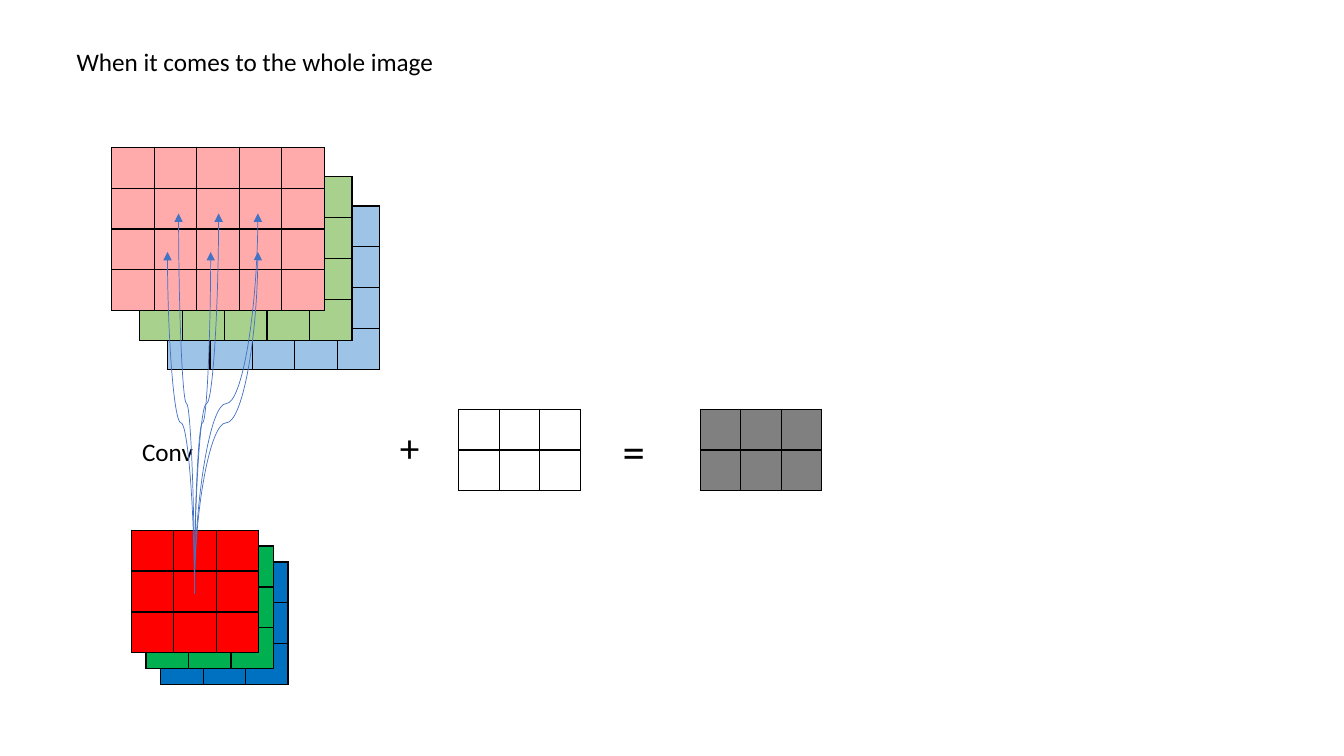
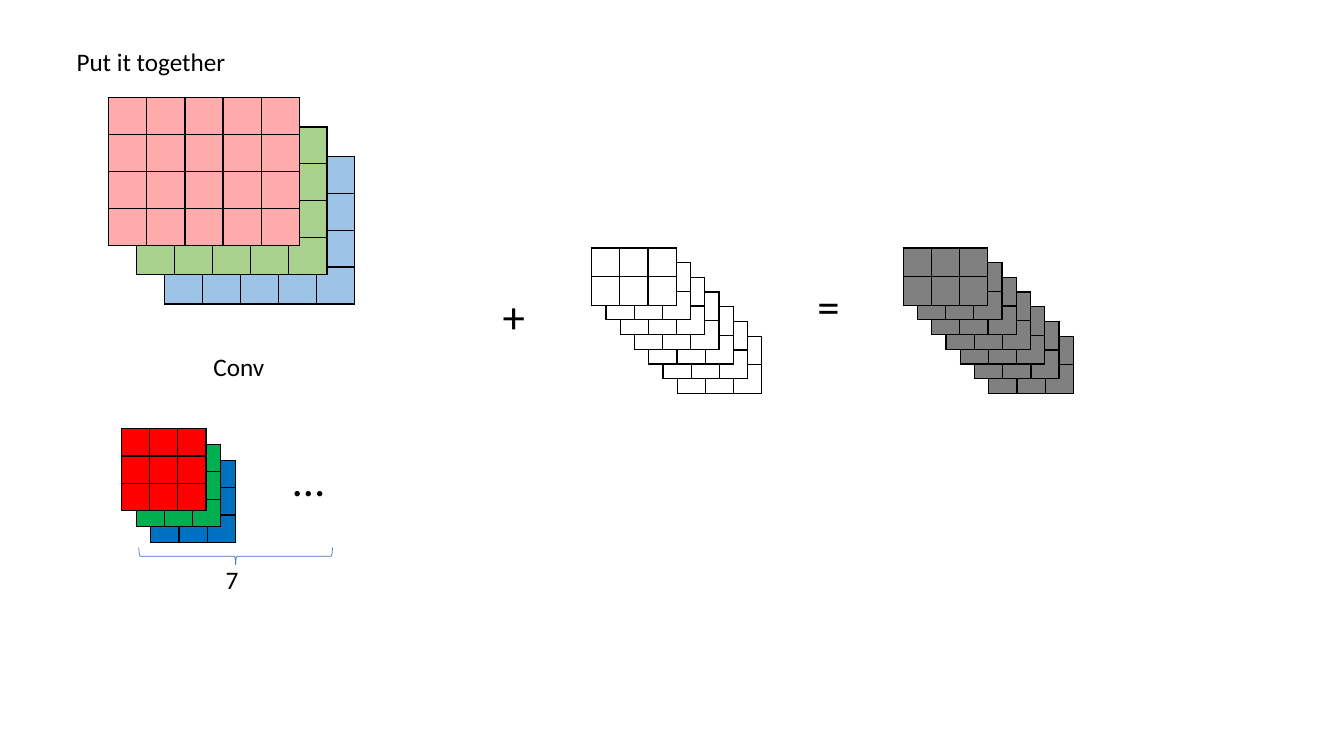
from lxml.etree import SubElement
from pptx import Presentation
from pptx.dml.color import RGBColor
from pptx.enum.shapes import MSO_CONNECTOR, MSO_SHAPE
from pptx.oxml.ns import qn
from pptx.util import Cm, Pt

HUES = {
    "ink": "000000", "edge": "4472C4", "white": "FFFFFF", "gray": "808080",
    "pink": "FFABAB", "lime": "A9D18E", "sky": "9DC3E6",
    "red": "FF0000", "green": "00B050", "blue": "0070C0",
}
IMAGE = ("pink", "lime", "sky")
KERNEL = ("red", "green", "blue")
COUNT = 7
FONT = {"name": "Calibri"}
PLAIN = {"first_row": False, "horz_banding": False}
SNUG = {f"margin_{side}": 0 for side in ("left", "right", "top", "bottom")}


def style(item, form):
    """Set each attribute of an object from a dict of format values."""
    for name, value in form.items():
        setattr(item, name, value)


def hue(name):
    """Return a named colour."""
    return RGBColor.from_string(HUES[name])


def stroke(line):
    """Give a line the thin accent look."""
    line.color.rgb = hue("edge")
    line.width = Pt(0.5)


def label(slide, text, x, y, w=2.34, size=18):
    """Place one line of text in a box."""
    box = slide.shapes.add_textbox(Cm(x), Cm(y), Cm(w), Cm(size * 0.05 + 0.12))
    box.text_frame.word_wrap = True
    run = box.text_frame.paragraphs[0].add_run()
    run.text = text
    style(run.font, FONT | {"size": Pt(size)})
    run.font.color.rgb = hue("ink")


def paint(cell, name):
    """Fill a blank cell and draw its four borders."""
    style(cell, SNUG)
    end = SubElement(cell.text_frame.paragraphs[0]._p, qn("a:endParaRPr"))
    end.set("sz", "100")
    props = cell._tc.get_or_add_tcPr()
    for side in "LRTB":
        edge = SubElement(props, qn(f"a:ln{side}"), w=str(Pt(1)))
        fill = SubElement(edge, qn("a:solidFill"))
        SubElement(fill, qn("a:srgbClr"), val=HUES["ink"])
    cell.fill.solid()
    cell.fill.fore_color.rgb = hue(name)


def grid(slide, x, y, size, unit, name):
    """Draw a table of equal cells in one colour."""
    (cols, rows), (w, h) = size, unit
    table = slide.shapes.add_table(
        rows, cols, Cm(x), Cm(y), Cm(cols * w), Cm(rows * h)).table
    style(table, PLAIN)
    for col in table.columns:
        col.width = Cm(w)
    for row in table.rows:
        row.height = Cm(h)
    for cell in table.iter_cells():
        paint(cell, name)


def stack(slide, x, y, size, unit, names, step=(0, 0)):
    """Draw layered grids from the back one to the front one at x, y."""
    for i, name in reversed(list(enumerate(names))):
        grid(slide, x + i * step[0], y + i * step[1], size, unit, name)


def arrow(slide, start, end):
    """Draw an upward curve that leaves and arrives upright."""
    (x1, y1), (x2, y2) = start, end
    rise, run = y1 - y2, abs(x2 - x1)
    left, top = (x1 + x2 - rise) / 2, (y1 + y2 - run) / 2
    right, low = left + rise, top + run
    ends, turn = ((right, low, left, top), 90)
    if x2 < x1:
        ends, turn = ((left, low, right, top), 270)
    link = slide.shapes.add_connector(MSO_CONNECTOR.CURVE, *map(Cm, ends))
    link.rotation = turn
    stroke(link.line)
    props = link._element.spPr
    SubElement(props.find(qn("a:ln")), qn("a:tailEnd"), type="triangle")
    SubElement(props, qn("a:effectLst"))


def fan(slide, x, y):
    """Link the kernel centre to six cells of the image at x, y."""
    for dy, row in ((1.67, (1.68, 2.69, 3.68)), (2.64, (1.4, 2.49, 3.68))):
        for dx in row:
            arrow(slide, (x + 2.08, y + 11.25), (x + dx, y + dy))


def brace(slide, x, y, w, h):
    """Draw a brace that opens upward, with the kernel count below."""
    mark = slide.shapes.add_shape(
        MSO_SHAPE.LEFT_BRACE,
        Cm(x + (w - h) / 2), Cm(y + (h - w) / 2), Cm(h), Cm(w))
    style(mark, {"rotation": 270})
    mark.shadow.inherit = False
    mark.fill.background()
    stroke(mark.line)
    label(slide, str(COUNT), x + 1.94, y + 0.3, 0.71)


def page(deck, title):
    """Add a blank slide with its title line."""
    slide = deck.slides.add_slide(deck.slide_layouts[6])
    label(slide, title, 1.68, 1.04, 24.74)
    return slide


def whole(deck):
    """Build the slide with one kernel over the whole image."""
    slide = page(deck, "When it comes to the whole image")
    unit, flat = (1.07, 1.03), (1.02, 1.03)
    stack(slide, 2.82, 3.71, (5, 4), unit, IMAGE, (0.7, 0.74))
    stack(slide, 3.31, 13.36, (3, 3), unit, KERNEL, (0.37, 0.4))
    label(slide, "Conv", 3.33, 10.87)
    fan(slide, 2.82, 3.71)
    label(slide, "+", 9.83, 10.54, 1.14, 28)
    label(slide, "=", 15.44, 10.54, 3.66, 32)
    for x, name in ((11.56, "white"), (17.65, "gray")):
        stack(slide, x, 10.31, (3, 2), flat, [name])


def joint(deck):
    """Build the slide with all kernels put together."""
    slide = page(deck, "Put it together")
    stack(slide, 2.74, 2.46, (5, 4), (0.96, 0.93), IMAGE, (0.7, 0.74))
    stack(slide, 3.06, 10.8, (3, 3), (0.71, 0.69), KERNEL, (0.37, 0.4))
    label(slide, "Conv", 5.13, 8.74)
    label(slide, "…", 7.14, 11.25, 3.61, 32)
    brace(slide, 3.5, 13.8, 4.88, 0.43)
    label(slide, "+", 12.42, 7.16, 1.22, 32)
    label(slide, "=", 20.35, 6.91, 1.22, 32)
    for x, name in ((14.91, "white"), (22.76, "gray")):
        stack(slide, x, 6.25, (3, 2), (0.71, 0.72), [name] * COUNT, (0.36, 0.37))


def main():
    """Build and save the deck."""
    deck = Presentation()
    style(deck, {"slide_width": Cm(33.87), "slide_height": Cm(19.05)})
    whole(deck)
    joint(deck)
    deck.save("out.pptx")


if __name__ == "__main__":
    main()
